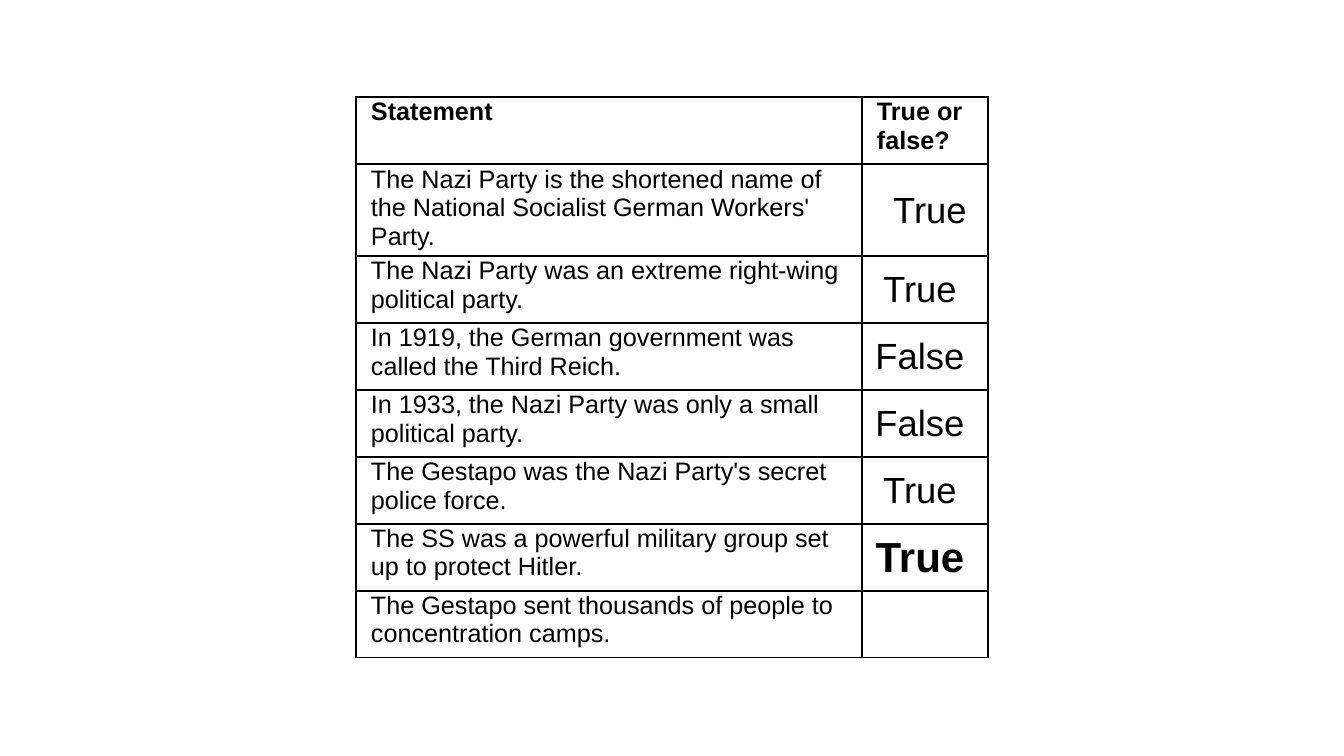
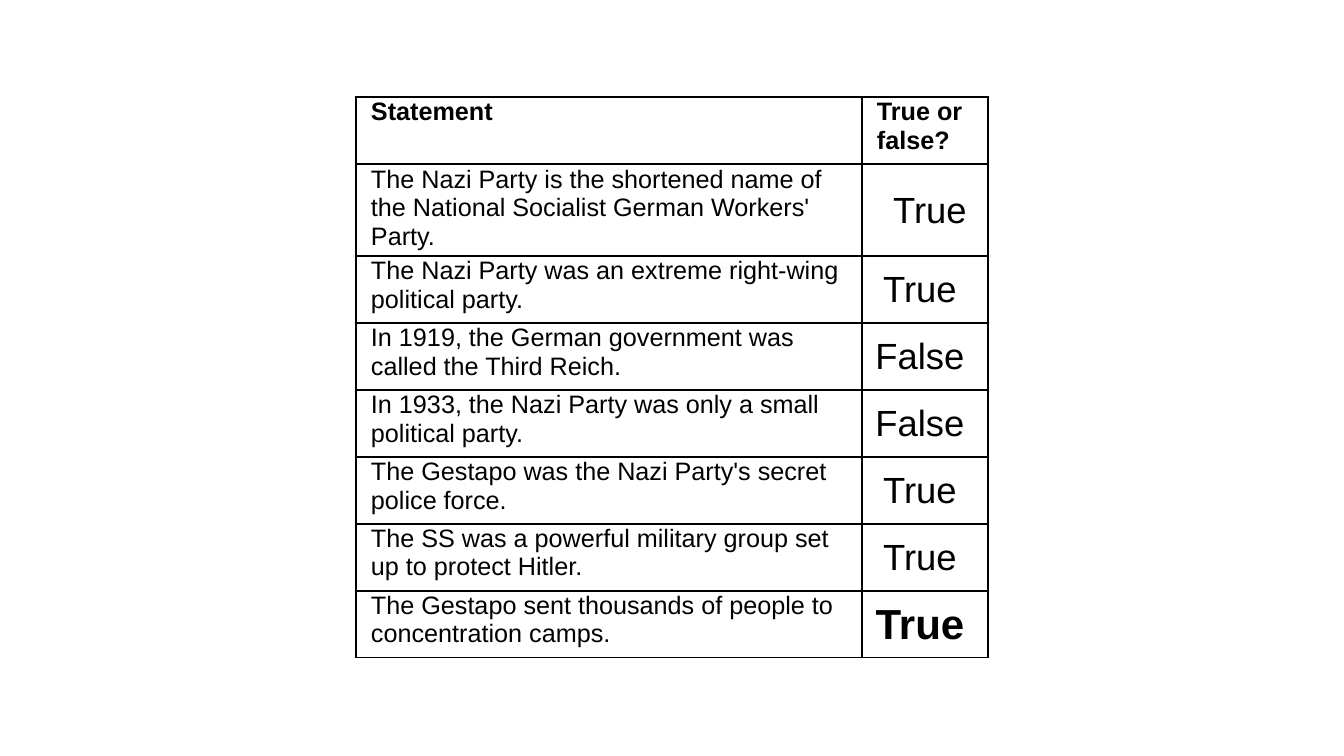
from dataclasses import dataclass

from lxml import etree
from pptx import Presentation
from pptx.dml.color import RGBColor
from pptx.enum.text import MSO_ANCHOR, PP_ALIGN
from pptx.oxml.ns import qn
from pptx.util import Emu, Pt

LEFT, CENTER = PP_ALIGN.LEFT, PP_ALIGN.CENTER
TOP, MIDDLE = MSO_ANCHOR.TOP, MSO_ANCHOR.MIDDLE

# Shared look
FONT = "Arial"
BLACK = "000000"
WHITE = "FFFFFF"
BLANK_LAYOUT = 6
PX_PER_INCH = 100.8
SLIDE_WIDTH, SLIDE_HEIGHT = 1344, 756

# Table grid, in px
TABLE_LEFT, TABLE_TOP = 356, 97
COLUMN_WIDTHS = (506, 126)
ROW_HEIGHT, TALL_ROW_HEIGHT = 67, 92
TALL_ROW = 1
TEXT_INDENT = 15
ANSWER_SHIFT = 11


@dataclass(frozen=True)
class Statement:
    text: str
    answer: str
    line_spacing: float | None = None
    answer_left: int = 1
    answer_right: int = ANSWER_SHIFT


@dataclass(frozen=True)
class CellStyle:
    size: int = 18
    bold: bool = False
    align: PP_ALIGN = LEFT
    anchor: MSO_ANCHOR = TOP
    left: int = TEXT_INDENT
    right: int = 8
    line_spacing: float | None = None


HEADERS = ("Statement", "True or false?")
STATEMENTS = (
    Statement("The Nazi Party is the shortened name of the National Socialist "
              "German Workers' Party.", "True", 20.5, ANSWER_SHIFT, 1),
    Statement("The Nazi Party was an extreme right-wing political party.", "True"),
    Statement("In 1919, the German government was called the Third Reich.", "False"),
    Statement("In 1933, the Nazi Party was only a small political party.", "False"),
    Statement("The Gestapo was the Nazi Party's secret police force.", "True"),
    Statement("The SS was a powerful military group set up to protect Hitler.", "True"),
    Statement("The Gestapo sent thousands of people to concentration camps.", "True"),
)
REVEALED_COUNTS = (6, 7)  # answers showing on each slide


def px(length: int) -> Emu:
    return Emu(round(length * 914400 / PX_PER_INCH))


def color(value: str) -> RGBColor:
    return RGBColor.from_string(value)


def add_borders(cell) -> None:
    properties = cell._tc.get_or_add_tcPr()
    for side in ("a:lnL", "a:lnR", "a:lnT", "a:lnB"):
        line = etree.SubElement(properties, qn(side), w=str(Pt(1)))
        fill = etree.SubElement(line, qn("a:solidFill"))
        etree.SubElement(fill, qn("a:srgbClr"), val=BLACK)


def fill_cell(cell, text: str, style: CellStyle) -> None:
    add_borders(cell)
    cell.fill.solid()
    cell.fill.fore_color.rgb = color(WHITE)
    cell.margin_left, cell.margin_right = px(style.left), px(style.right)
    cell.margin_top, cell.margin_bottom = px(1), px(0)
    cell.vertical_anchor = style.anchor
    cell.text = text
    paragraph = cell.text_frame.paragraphs[0]
    paragraph.alignment = style.align
    if style.line_spacing:
        paragraph.line_spacing = Pt(style.line_spacing)
    font = paragraph.font
    font.name, font.size, font.bold = FONT, Pt(style.size), style.bold
    font.color.rgb = color(BLACK)


def add_quiz_slide(presentation, revealed: int) -> None:
    slide = presentation.slides.add_slide(presentation.slide_layouts[BLANK_LAYOUT])
    heights = [ROW_HEIGHT] * (len(STATEMENTS) + 1)
    heights[TALL_ROW] = TALL_ROW_HEIGHT
    table = slide.shapes.add_table(
        len(heights), len(COLUMN_WIDTHS), px(TABLE_LEFT), px(TABLE_TOP),
        px(sum(COLUMN_WIDTHS)), px(sum(heights))).table
    table.first_row = table.horz_banding = False
    for column, width in zip(table.columns, COLUMN_WIDTHS):
        column.width = px(width)
    for row, height in zip(table.rows, heights):
        row.height = px(height)

    # Header row
    for column_index, header in enumerate(HEADERS):
        fill_cell(table.cell(0, column_index), header, CellStyle(bold=True))

    # Statements, with the newest answer emphasised
    for number, statement in enumerate(STATEMENTS, start=1):
        newest = number == revealed
        fill_cell(table.cell(number, 0), statement.text,
                  CellStyle(line_spacing=statement.line_spacing))
        fill_cell(table.cell(number, 1), statement.answer if number <= revealed else "",
                  CellStyle(size=30 if newest else 26, bold=newest, align=CENTER,
                            anchor=MIDDLE, left=statement.answer_left,
                            right=statement.answer_right))


def main() -> None:
    presentation = Presentation()
    presentation.slide_width, presentation.slide_height = px(SLIDE_WIDTH), px(SLIDE_HEIGHT)
    for revealed in REVEALED_COUNTS:
        add_quiz_slide(presentation, revealed)
    presentation.save("out.pptx")


if __name__ == "__main__":
    main()
